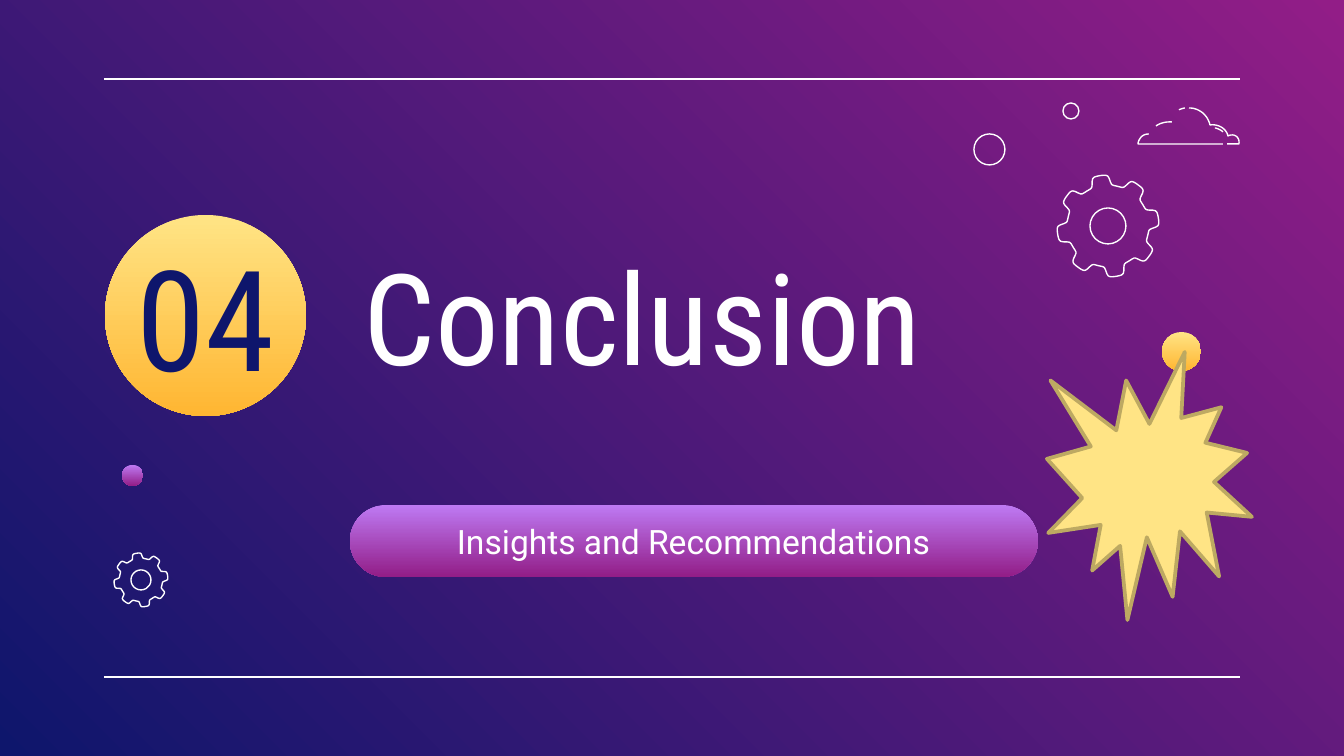
from dataclasses import dataclass
from math import cos, pi, radians, sin, tanh

from lxml.etree import SubElement
from pptx import Presentation
from pptx.dml.color import RGBColor
from pptx.enum.shapes import MSO_CONNECTOR, MSO_SHAPE
from pptx.enum.text import MSO_ANCHOR, MSO_AUTO_SIZE, PP_ALIGN
from pptx.oxml.ns import qn
from pptx.util import Emu, Inches, Pt

SCALE = 914400 / 134.4
CURVE_STEPS = 12
GEAR_STEPS = 240
GEAR_TEETH = 8
TITLE_ONLY = 5


@dataclass(frozen=True)
class Theme:
    white: str = "FFFFFF"
    navy: str = "0E166C"
    background: tuple = ("921D87", "0E166C")
    gold: tuple = ("FFE485", "FFB632")
    purple: tuple = ("BE7AF3", "921D87")
    burst: str = "FFE485"
    burst_edge: str = "BDA962"
    display_font: str = "Roboto Condensed"
    body_font: str = "Roboto"
    title_size: float = 68
    number_size: float = 75
    subtitle_size: float = 18
    thin: float = 0.75
    thick: float = 2


THEME = Theme()

CLOUD_CURVES = [
    [(1189, 108), (1200, 108), (1208, 116), (1210, 125),
     (1218, 124), (1226, 128), (1228, 136),
     (1234, 133), (1240, 137), (1239, 144),
     (1239, 144), (1227, 144), (1227, 144)],
    [(1185, 108), (1185, 108), (1180, 109), (1179, 110)],
    [(1223, 144), (1223, 144), (1138, 144), (1138, 144),
     (1138, 144), (1139, 134), (1149, 134)],
    [(1215, 128), (1215, 128), (1220, 129), (1223, 132)],
    [(1172, 122), (1172, 122), (1163, 121), (1156, 126)],
]


def px(value):
    return Emu(round(value * SCALE))


def set_gradient(fill, colors, angle):
    fill.gradient()
    fill.gradient_angle = 360 - angle
    for stop, color, position in zip(fill.gradient_stops, colors, (0, 1)):
        stop.color.rgb = RGBColor.from_string(color)
        stop.position = position


def style_shape(shape, fill=None, line=None, line_width=THEME.thin):
    shape.shadow.inherit = False
    if fill is None:
        shape.fill.background()
    elif isinstance(fill, tuple):
        set_gradient(shape.fill, fill, 90)
    else:
        shape.fill.solid()
        shape.fill.fore_color.rgb = RGBColor.from_string(fill)
    if line is None:
        shape.line.fill.background()
    else:
        shape.line.color.rgb = RGBColor.from_string(line)
        shape.line.width = Pt(line_width)


def add_preset(shapes, preset, left, top, width, height, **style):
    shape = shapes.add_shape(preset, px(left), px(top), px(width), px(height))
    style_shape(shape, **style)
    return shape


def add_circle(shapes, left, top, diameter, **style):
    return add_preset(shapes, MSO_SHAPE.OVAL, left, top, diameter, diameter, **style)


def add_outline(shapes, points, close):
    start, *rest = [(px(x), px(y)) for x, y in points]
    builder = shapes.build_freeform(*start, scale=1.0)
    builder.add_line_segments(rest, close=close)
    style_shape(builder.convert_to_shape(), line=THEME.white)


def curve_points(controls):
    points = [controls[0]]
    for first in range(0, len(controls) - 1, 3):
        segment = controls[first:first + 4]
        for step in range(1, CURVE_STEPS + 1):
            t = step / CURVE_STEPS
            weights = ((1 - t) ** 3, 3 * t * (1 - t) ** 2, 3 * t * t * (1 - t), t ** 3)
            points.append(tuple(
                sum(weight * point[axis] for weight, point in zip(weights, segment))
                for axis in (0, 1)))
    return points


def add_cloud(shapes):
    group = shapes.add_group_shape()
    for controls in CLOUD_CURVES:
        add_outline(group.shapes, curve_points(controls), close=False)


def add_gear(shapes, center_x, center_y, radius, hole_radius):
    points = []
    for step in range(GEAR_STEPS):
        angle = 2 * pi * step / GEAR_STEPS
        tooth = tanh(3 * cos(GEAR_TEETH * (angle + radians(99))))
        distance = radius * (0.9 + 0.1 * tooth)
        points.append((center_x + distance * cos(angle), center_y + distance * sin(angle)))
    add_outline(shapes, points, close=True)
    add_circle(shapes, center_x - hole_radius, center_y - hole_radius,
               2 * hole_radius, line=THEME.white)


def add_rule(shapes, left, right, y):
    connector = shapes.add_connector(MSO_CONNECTOR.STRAIGHT, px(left), px(y), px(right), px(y))
    connector.line.color.rgb = RGBColor.from_string(THEME.white)
    connector.line.width = Pt(THEME.thin)
    SubElement(connector._element.spPr, qn("a:effectLst"))


def write_text(shape, text, *, size, font, color, align=PP_ALIGN.LEFT):
    frame = shape.text_frame
    frame.word_wrap = True
    frame.auto_size = MSO_AUTO_SIZE.NONE
    frame.vertical_anchor = MSO_ANCHOR.MIDDLE
    frame.margin_left = frame.margin_right = Inches(0.1)
    frame.margin_top = frame.margin_bottom = Inches(0.1)
    paragraph = frame.paragraphs[0]
    paragraph.alignment = align
    run = paragraph.add_run()
    run.text = text
    run.font.size = Pt(size)
    run.font.name = font
    run.font.color.rgb = RGBColor.from_string(color)


def place_title(slide, text, left, top, width, height):
    title = slide.shapes.title
    title.left, title.top = px(left), px(top)
    title.width, title.height = px(width), px(height)
    write_text(title, text, size=THEME.title_size, font=THEME.display_font, color=THEME.white)


def add_label(shapes, text, left, top, width, height, **style):
    box = shapes.add_textbox(px(left), px(top), px(width), px(height))
    write_text(box, text, align=PP_ALIGN.CENTER, **style)


def main():
    presentation = Presentation()
    presentation.slide_width, presentation.slide_height = px(1344), px(756)
    slide = presentation.slides.add_slide(presentation.slide_layouts[TITLE_ONLY])
    shapes = slide.shapes
    set_gradient(slide.background.fill, THEME.background, 135)

    for y in (79, 677):
        add_rule(shapes, 104, 1240, y)

    pill = add_preset(shapes, MSO_SHAPE.ROUNDED_RECTANGLE, 350, 505, 688, 72, fill=THEME.purple)
    pill.adjustments[0] = 0.5
    for left, top, diameter, fill in (
            (105, 215, 201, THEME.gold), (1162, 332, 39, THEME.gold),
            (122, 465, 21, THEME.purple)):
        add_circle(shapes, left, top, diameter, fill=fill)
    for left, top, diameter in ((1063, 103, 16), (974, 134, 31)):
        add_circle(shapes, left, top, diameter, line=THEME.white)

    place_title(slide, "Conclusion", 350, 187, 653, 255)
    add_label(shapes, "Insights and Recommendations", 357, 519, 673, 44,
              size=THEME.subtitle_size, font=THEME.body_font, color=THEME.white)
    add_label(shapes, "04", 105, 259, 201, 112,
              size=THEME.number_size, font=THEME.display_font, color=THEME.navy)

    add_cloud(shapes)
    add_gear(shapes, 1108, 226, 51, 18)
    add_gear(shapes, 141, 580, 27, 10)
    add_preset(shapes, MSO_SHAPE.EXPLOSION1, 1047, 352, 205, 268,
               fill=THEME.burst, line=THEME.burst_edge, line_width=THEME.thick)
    presentation.save("out.pptx")


if __name__ == "__main__":
    main()
